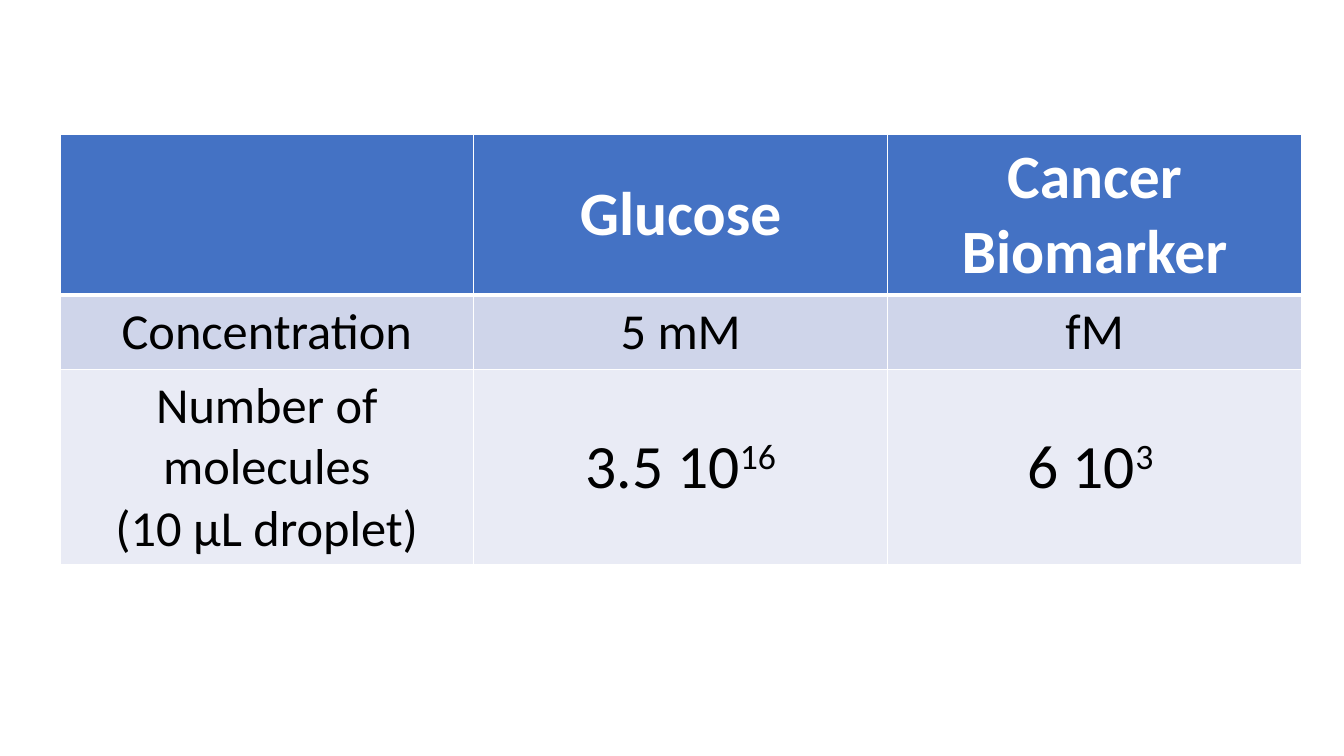
from dataclasses import dataclass

from lxml.etree import SubElement
from pptx import Presentation
from pptx.dml.color import RGBColor as RGB
from pptx.enum.text import MSO_ANCHOR as Anchor, PP_ALIGN as Align
from pptx.oxml.ns import qn
from pptx.util import Cm, Pt


@dataclass(frozen=True)
class Theme:
    font: str = "Calibri"
    header_fill: str = "4472C4"
    band_fills: tuple = ("CFD5EA", "E9EBF5")
    header_text: str = "FFFFFF"
    body_text: str = "000000"
    border: str = "FFFFFF"
    large: int = 44
    medium: int = 36
    thin: int = 1
    thick: int = 3


def add_text(paragraph, text, *, font, size, color, bold=False, raised=False):
    run = paragraph.add_run()
    run.text = text
    run.font.name = font
    run.font.size = Pt(size)
    run.font.bold = bold
    run.font.color.rgb = RGB.from_string(color)
    if raised:
        run._r.get_or_add_rPr().set("baseline", "30000")


class SlideBuilder:
    def __init__(self, slide, theme):
        self.slide = slide
        self.theme = theme

    def border(self, cell, side, width):
        line = SubElement(cell._tc.get_or_add_tcPr(), qn(f"a:ln{side}"), w=str(Pt(width)))
        fill = SubElement(line, qn("a:solidFill"))
        SubElement(fill, qn("a:srgbClr"), val=self.theme.border)

    def cell(self, cell, paragraphs, row):
        theme = self.theme
        header = row == 0
        # Borders come before the fill in the cell properties
        for side in "LRTB":
            heavy = (row, side) in ((0, "B"), (1, "T"))
            self.border(cell, side, theme.thick if heavy else theme.thin)
        cell.fill.solid()
        fill = theme.header_fill if header else theme.band_fills[row - 1]
        cell.fill.fore_color.rgb = RGB.from_string(fill)
        cell.vertical_anchor = Anchor.MIDDLE

        # A paragraph is plain text or a (base, exponent) pair
        frame = cell.text_frame
        for index, content in enumerate(paragraphs):
            paragraph = frame.add_paragraph() if index else frame.paragraphs[0]
            paragraph.alignment = Align.CENTER
            power = isinstance(content, tuple)
            for part, text in enumerate(content if power else (content,)):
                add_text(paragraph, text, font=theme.font, bold=header, raised=part > 0,
                         size=theme.large if header or power else theme.medium,
                         color=theme.header_text if header else theme.body_text)

    def table(self, rows, left, top, width, heights):
        columns = len(rows[0])
        table = self.slide.shapes.add_table(
            len(rows), columns, Cm(left), Cm(top), Cm(width), Cm(sum(heights))).table
        for column in table.columns:
            column.width = Cm(width / columns)
        for row, (contents, height) in enumerate(zip(rows, heights)):
            table.rows[row].height = Cm(height)
            for column, paragraphs in enumerate(contents):
                self.cell(table.cell(row, column), paragraphs, row)


def main():
    presentation = Presentation()
    presentation.slide_width, presentation.slide_height = Cm(33.87), Cm(19.05)
    blank_layout = presentation.slide_layouts[6]
    builder = SlideBuilder(presentation.slides.add_slide(blank_layout), Theme())

    # Molecule counts of glucose and a cancer biomarker
    molecule_counts = [
        [[], ["Glucose"], ["Cancer Biomarker"]],
        [["Concentration"], ["5 mM"], ["fM"]],
        [["Number of molecules", "(10 µL droplet)"], [("3.5 10", "16")], [("6 10", "3 ")]],
    ]
    builder.table(molecule_counts, left=1.51, top=3.39, width=31.29, heights=(4.04, 1.88, 4.92))
    presentation.save("out.pptx")


if __name__ == "__main__":
    main()
